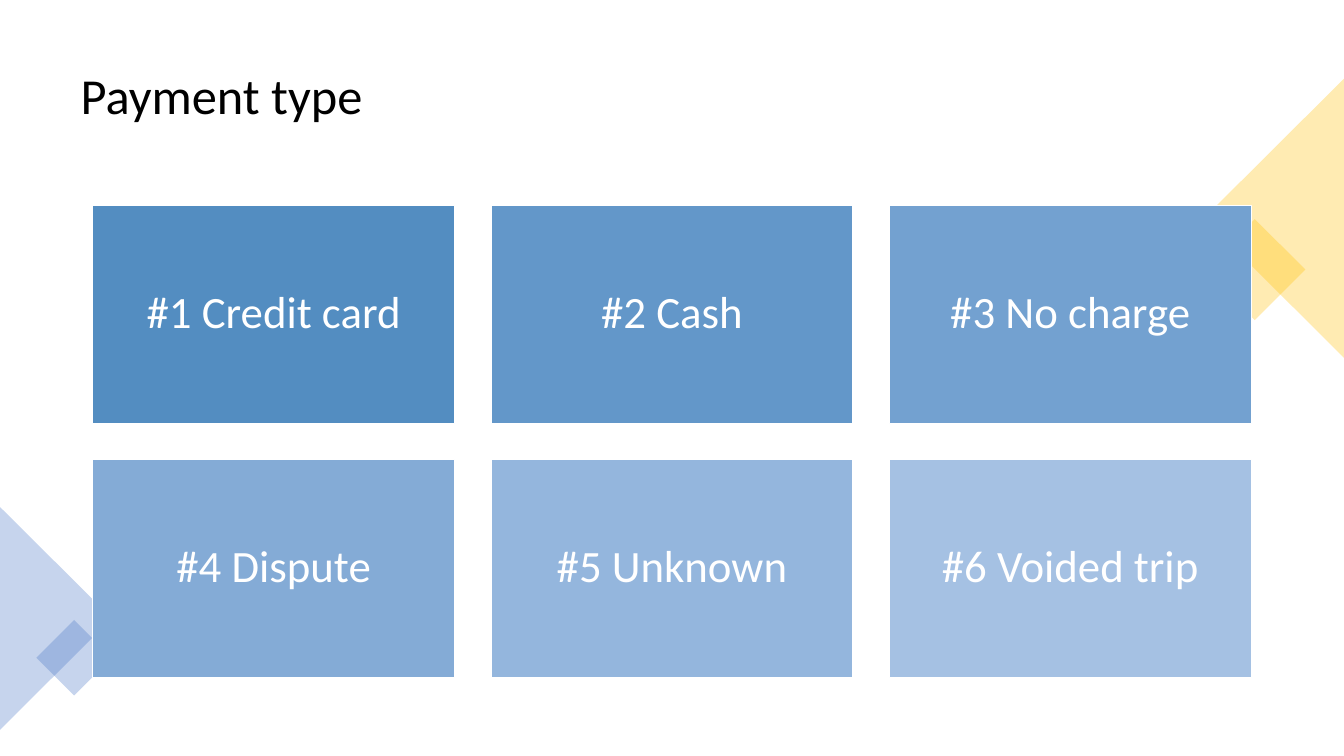
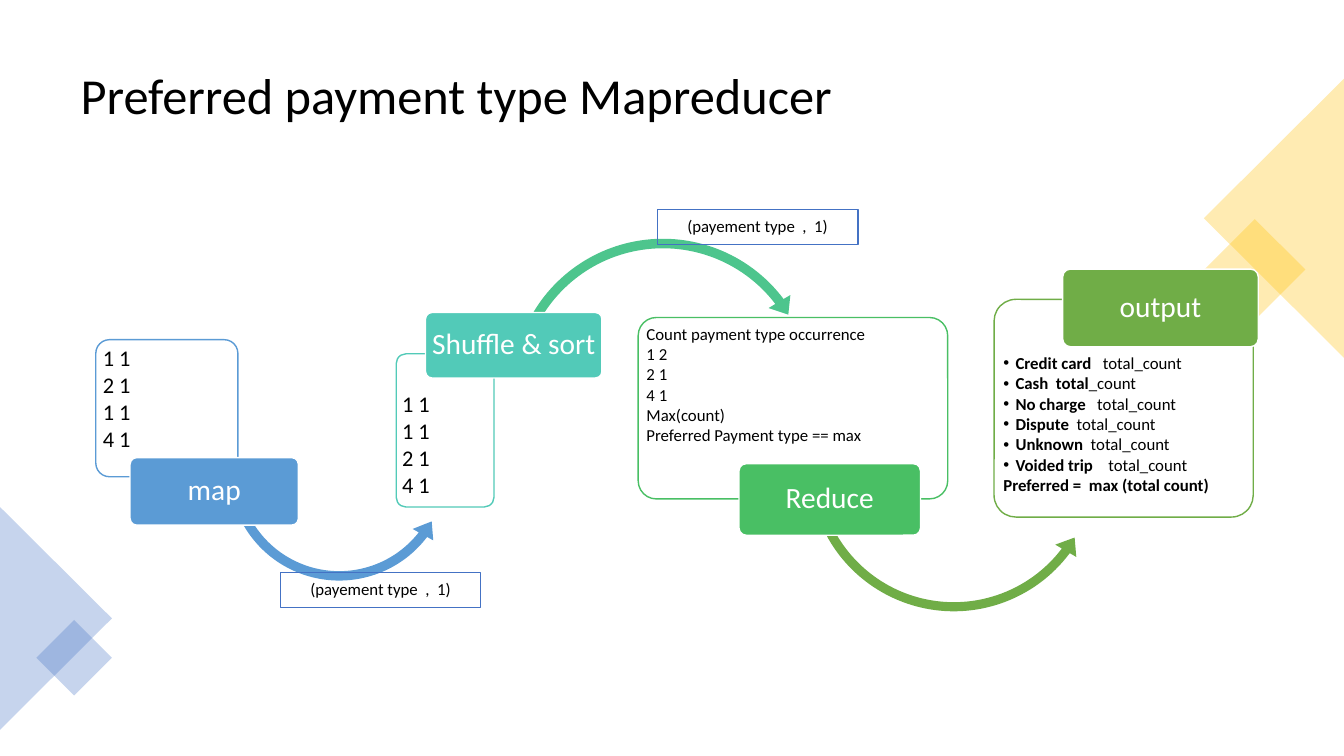
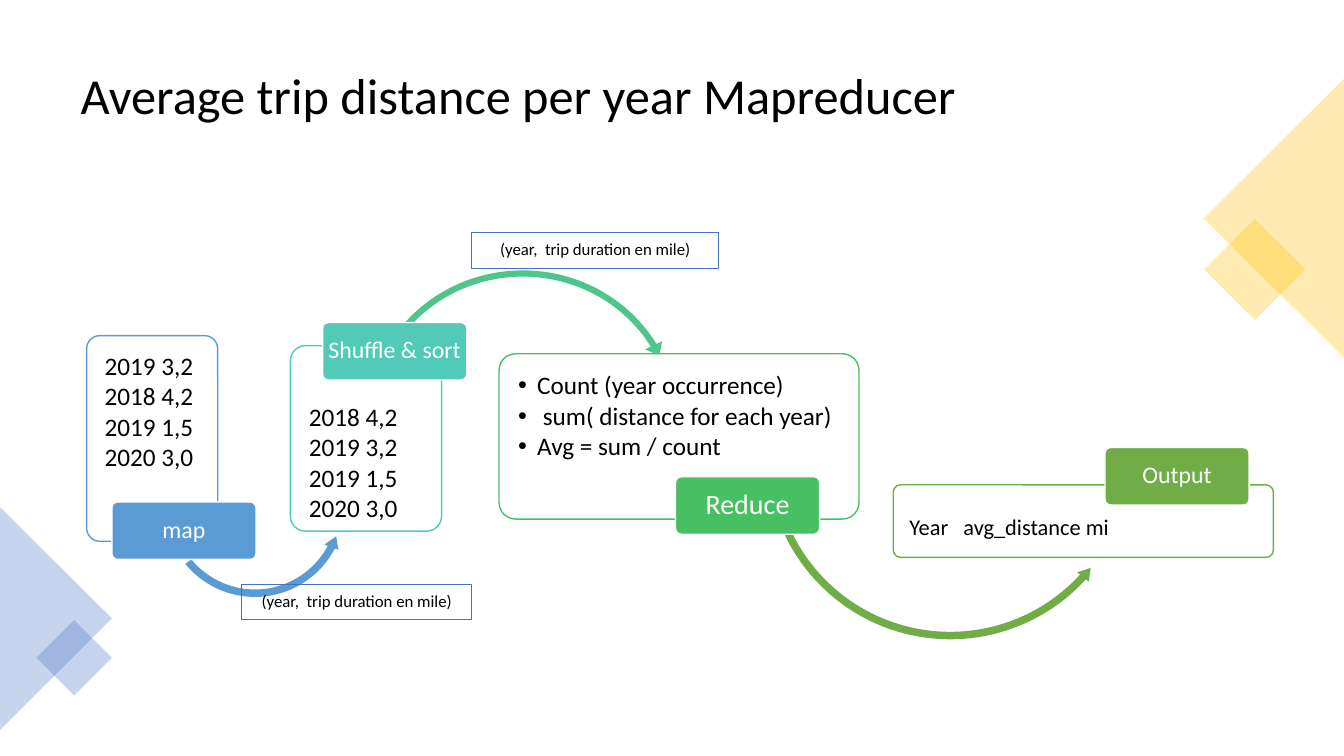
from lxml.etree import SubElement
from pptx import Presentation
from pptx.dml.color import RGBColor
from pptx.enum.shapes import MSO_SHAPE
from pptx.enum.text import MSO_ANCHOR, PP_ALIGN
from pptx.oxml.ns import qn
from pptx.util import Inches, Pt

COLORS = {
    "white": "FFFFFF", "black": "000000", "gold": "FFC000", "navy": "4472C4",
    "blue": "5B9BD5", "teal": "52CAB8", "mint": "4DC58D", "green": "49BF64", "olive": "70AD47",
    "card1": "538DC1", "card2": "6397C9", "card3": "73A1D0",
    "card4": "84ABD6", "card5": "94B6DD", "card6": "A5C1E3",
}
FONT = "Calibri"


def draw(s, kind, box, fill=None, line=None, width=1, opacity=100, rotation=0, adj=()):
    """Add a preset shape; box is left, top, width, height in inches."""
    sp = s.shapes.add_shape(kind, *[Inches(v) for v in box])
    sp.shadow.inherit = False
    sp.rotation = rotation
    for i, value in enumerate(adj):
        sp.adjustments[i] = value
    if fill:
        sp.fill.solid()
        sp.fill.fore_color.rgb = RGBColor.from_string(COLORS[fill])
    else:
        sp.fill.background()
    if opacity < 100:
        color = sp._element.spPr.find(".//" + qn("a:srgbClr"))
        SubElement(color, qn("a:alpha"), val=str(opacity * 1000))
    if line:
        sp.line.color.rgb = RGBColor.from_string(COLORS[line])
        sp.line.width = Pt(width)
    else:
        sp.line.fill.background()
    return sp


def write(sp, lines, size, color="white", inset=0.04, top=None, bullets=0, indent=0.19):
    """Centre one line, or list lines from `top` down with the first ones bulleted.

    A line is a string or a (bold, regular) pair.
    """
    listed = top is not None
    tf = sp.text_frame
    frame = {
        "word_wrap": listed,
        "vertical_anchor": MSO_ANCHOR.TOP if listed else MSO_ANCHOR.MIDDLE,
        "margin_left": Inches(inset), "margin_right": Inches(inset),
        "margin_top": Inches(top if listed else inset), "margin_bottom": Inches(0.03),
    }
    if not listed:
        frame["margin_bottom"] = frame["margin_top"]
    for name, value in frame.items():
        setattr(tf, name, value)
    for i, line in enumerate(lines):
        p = tf.paragraphs[0] if i == 0 else tf.add_paragraph()
        p.alignment = PP_ALIGN.LEFT if listed else PP_ALIGN.CENTER
        p.line_spacing = 0.9
        if listed:
            p.space_after = Pt(size * 0.13)
        if i < bullets:
            pPr = p._p.get_or_add_pPr()
            pPr.set("marL", str(Inches(indent)))
            pPr.set("indent", str(-Inches(indent)))
            SubElement(pPr, qn("a:buFont"), typeface="Arial")
            SubElement(pPr, qn("a:buChar"), char="•")
        bold, regular = ("", line) if isinstance(line, str) else line
        for text, is_bold in ((bold, True), (regular, False)):
            if text:
                r = p.add_run()
                r.text = text
                for name, value in {"name": FONT, "size": Pt(size), "bold": is_bold}.items():
                    setattr(r.font, name, value)
                r.font.color.rgb = RGBColor.from_string(COLORS[color])


prs = Presentation()
prs.slide_width, prs.slide_height = Inches(13.33), Inches(7.5)

# Shared title style and position
layout = prs.slide_layouts[5]
title = layout.shapes.title if hasattr(layout.shapes, "title") else layout.placeholders[0]
for name, value in {"left": 0.7, "top": 0.35, "width": 11.93, "height": 1.24}.items():
    setattr(title, name, Inches(value))
title_style = prs.slide_master._element.find(".//" + qn("p:titleStyle") + "/" + qn("a:lvl1pPr"))
title_style.set("algn", "l")
title_style.find(qn("a:defRPr")).set("sz", "3600")
spacing = SubElement(title_style, qn("a:lnSpc"))
SubElement(spacing, qn("a:spcPct"), val="90000")
title_style.insert(0, spacing)

slides = []
for heading in ("Payment type", "Preferred payment type Mapreducer",
                "Average trip distance per year Mapreducer"):
    s = prs.slides.add_slide(layout)
    s.shapes.title.text = heading
    slides.append(s)

# Corner ornaments, moved to the layout so that every slide shows them
ornaments = [
    (MSO_SHAPE.RECTANGLE, (12.09, 2.32, 0.71, 0.71), "gold", 45),
    (MSO_SHAPE.ISOSCELES_TRIANGLE, (11.25, 1.47, 2.77, 1.39), "gold", 270),
    (MSO_SHAPE.ISOSCELES_TRIANGLE, (-0.55, 5.58, 2.21, 1.11), "navy", 90),
    (MSO_SHAPE.RECTANGLE, (0.47, 6.26, 0.53, 0.53), "navy", 45),
]
for kind, box, fill, rotation in ornaments:
    sp = draw(slides[0], kind, box, fill, opacity=30, rotation=rotation)
    layout.shapes._spTree.append(sp._element)

# Slide 1: grid of payment types
card_w, card_h, gap = 3.59, 2.16, 0.36
payments = ["Credit card", "Cash", "No charge", "Dispute", "Unknown", "Voided trip"]
for i, payment in enumerate(payments):
    row, col = divmod(i, 3)
    box = (0.92 + col * (card_w + gap), 2.04 + row * (card_h + gap), card_w, card_h)
    card = draw(slides[0], MSO_SHAPE.RECTANGLE, box, f"card{i + 1}", "white")
    write(card, [f"#{i + 1} {payment}"], 32, inset=0.13)

# Slides 2 and 3: each step is a panel, an arrow to the next step and a name tab
LEFT, RIGHT = MSO_SHAPE.LEFT_CIRCULAR_ARROW, MSO_SHAPE.CIRCULAR_ARROW
totals = [("Credit card   ", "total_count"), ("Cash  total", "_count"),
          ("No charge   ", "total_count"), ("Dispute", "  total_count"),
          ("Unknown", "  total_count"), ("Voided trip    ", "total_count"),
          ("Preferred =  max (total count)", "")]
payment_steps = [
    dict(color="blue", panel=(0.95, 3.37, 1.41, 1.36), lines=["1 1", "2 1", "1 1", "4 1"],
         style=dict(size=16, inset=0.03, top=0.03),
         arrow=(LEFT, (2.2, 3.5, 2.33, 2.33), "blue", 348.4, (0.04, 5.18, 29.53, 96.84, 0.05)),
         tab=(1.29, 4.54, 1.67, 0.67), name="map", name_size=21),
    dict(color="teal", panel=(3.93, 3.51, 0.97, 1.52), lines=["1 1", "1 1", "2 1", "4 1"],
         style=dict(size=16, inset=0.03, top=0.36),
         arrow=(RIGHT, (5, 2.29, 3.15, 3.15), "mint", 6.4, (0.03, 3.73, 189.91, 121.16, 0.04)),
         tab=(4.22, 3.1, 1.75, 0.65), name="Shuffle & sort", name_size=21),
    dict(color="green", panel=(6.33, 3.15, 3.07, 1.8),
         lines=["Count payment type occurrence", "1 2", "2 1", "4 1", "Max(count)",
                "Preferred Payment type == max"],
         style=dict(size=12, inset=0.03, top=0.03),
         arrow=(LEFT, (7.95, 3.12, 3.02, 3.02), "olive", 0, (0.03, 3.92, 22.15, 90.72, 0.04)),
         tab=(7.33, 4.6, 1.8, 0.71), name="Reduce", name_size=21),
    dict(color="olive", panel=(9.86, 2.97, 2.57, 2.16), lines=totals,
         style=dict(size=12, inset=0.03, top=0.49, bullets=6, indent=0.12),
         tab=(10.54, 2.67, 1.94, 0.77), name="output", name_size=21),
]
distance_steps = [
    dict(color="blue", panel=(0.86, 3.33, 1.3, 2.04),
         lines=["2019 3,2", "2018 4,2", "2019 1,5", "2020 3,0"],
         style=dict(size=18, inset=0.14, top=0.14),
         arrow=(LEFT, (1.6, 4.1, 1.86, 1.86), "blue", 0, (0.04, 4.74, 16.68, 84.43, 0.04)),
         tab=(1.11, 4.98, 1.43, 0.57), name="map", name_size=17),
    dict(color="teal", panel=(2.88, 3.43, 1.5, 1.84),
         lines=["2018 4,2", "2019 3,2", "2019 1,5", "2020 3,0"],
         style=dict(size=18, inset=0.14, top=0.54),
         arrow=(RIGHT, (3.58, 2.62, 3.21, 3.11), "mint", 0, (0.02, 2.64, 198.01, 128.16, 0.03)),
         tab=(3.2, 3.2, 1.43, 0.57), name="Shuffle & sort", name_size=17),
    dict(color="green", panel=(4.95, 3.51, 3.57, 1.64),
         lines=["Count (year occurrence)", " sum( distance for each year)",
                "Avg = sum / count"],
         style=dict(size=18, inset=0.14, top=0.14, bullets=3),
         arrow=(LEFT, (7.57, 2.67, 3.71, 3.71), "olive", 353.7, (0.02, 2.27, 29.18, 99.41, 0.02)),
         tab=(6.7, 4.73, 1.43, 0.57), name="Reduce", name_size=20),
    dict(color="olive", panel=(8.86, 4.81, 3.77, 0.72), lines=["Year   avg_distance mi"],
         style=dict(size=16, inset=0.14, top=0.29),
         tab=(10.96, 4.44, 1.43, 0.57), name="Output", name_size=17),
]
flows = [
    (slides[1], payment_steps, "(payement type  ,  1)",
     [(2.78, 5.68, 1.99, 0.35), (6.52, 2.08, 1.99, 0.35)]),
    (slides[2], distance_steps, "(year,  trip duration en mile)",
     [(4.68, 2.31, 2.45, 0.35), (2.4, 5.8, 2.28, 0.35)]),
]
for s, steps, label_text, label_boxes in flows:
    for step in steps:
        panel = draw(s, MSO_SHAPE.ROUNDED_RECTANGLE, step["panel"], "white", step["color"],
                     opacity=90, adj=[0.1])
        write(panel, step["lines"], color="black", **step["style"])
        if "arrow" in step:
            kind, box, fill, rotation, adj = step["arrow"]
            draw(s, kind, box, fill, rotation=rotation, adj=adj)
        tab = draw(s, MSO_SHAPE.ROUNDED_RECTANGLE, step["tab"], step["color"], "white", adj=[0.1])
        write(tab, [step["name"]], step["name_size"])
    for box in label_boxes:
        label = draw(s, MSO_SHAPE.RECTANGLE, box, line="navy", width=0.75)
        write(label, [label_text], 12, "black")

prs.save("out.pptx")
